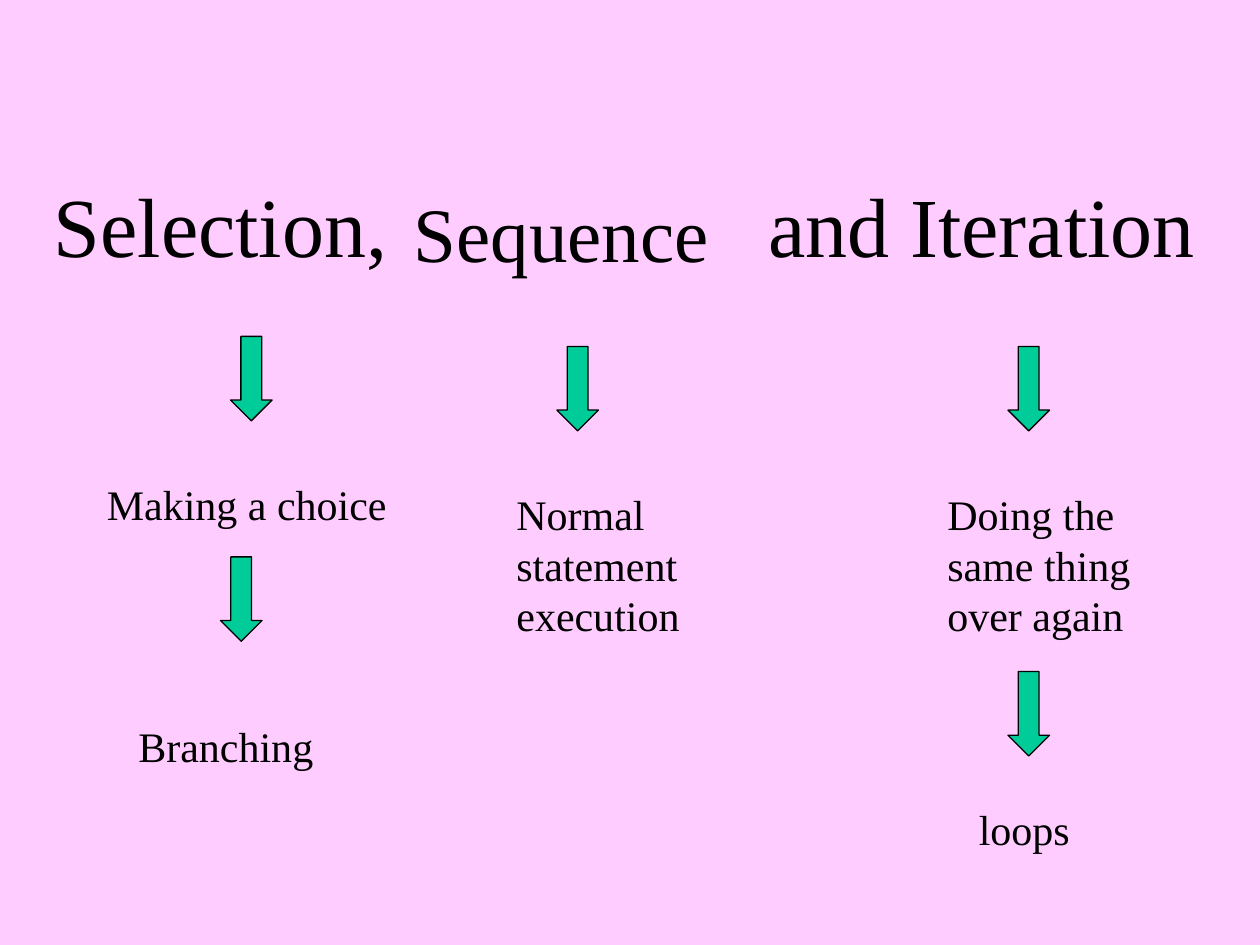
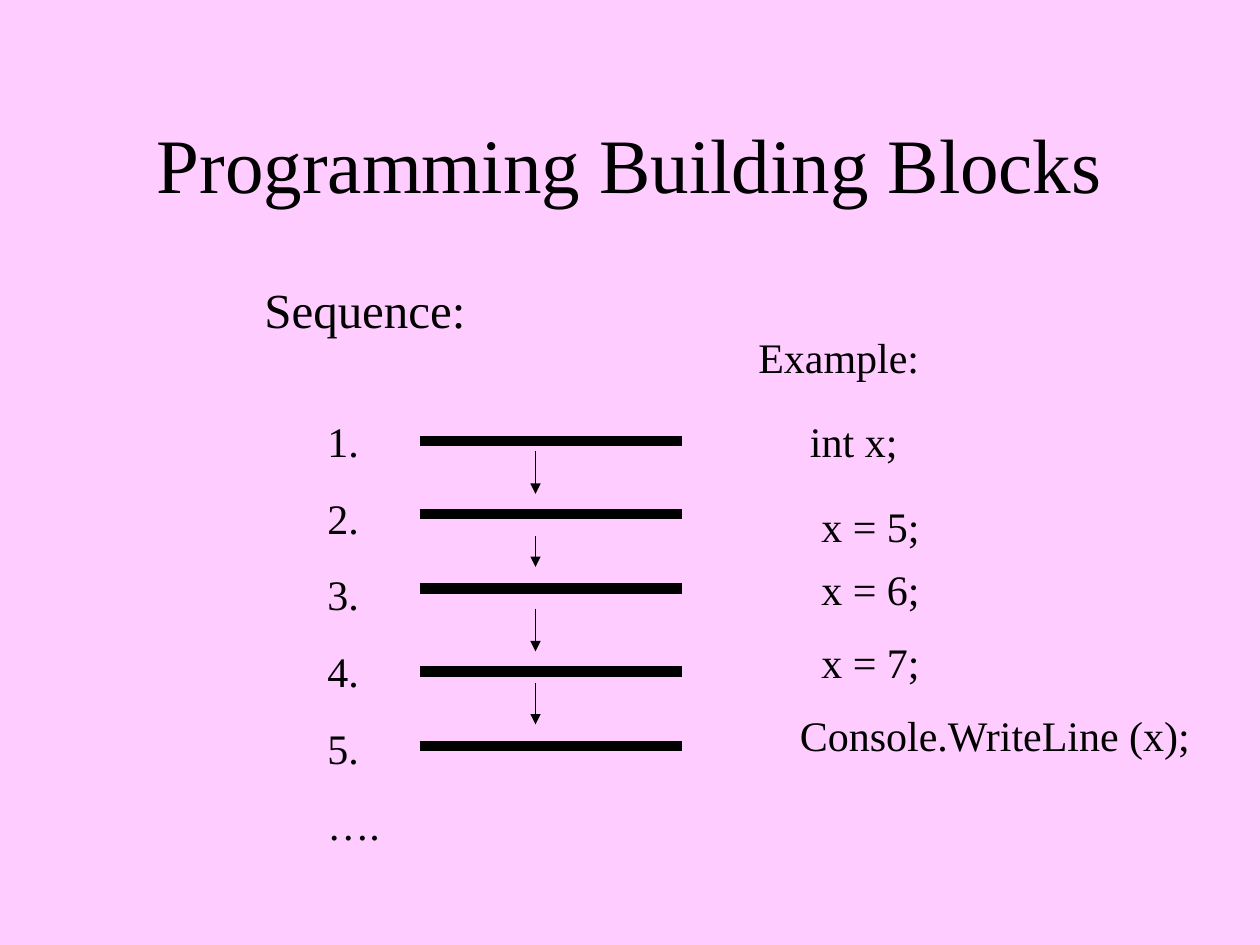
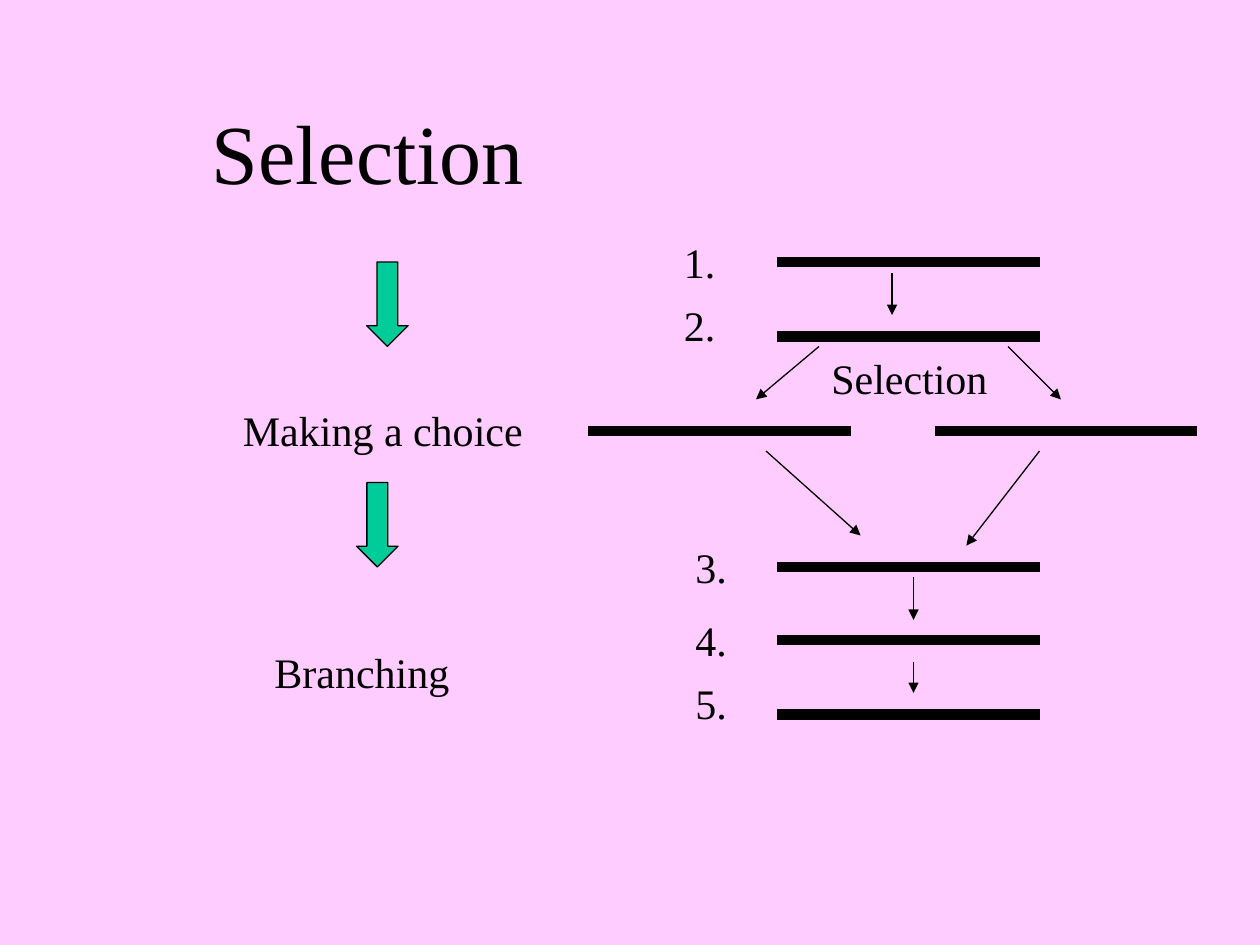
import pptx
import pptx.dml.color
import pptx.enum.shapes
import pptx.enum.text
import pptx.oxml
import pptx.util
from pptx.util import Inches

FONT = "Times New Roman"
BACKGROUND, INK, ARROW_GREEN = "FFCCFF", "000000", "00CC99"
TITLE_ONLY = 5
BAR_LENGTH = 2.08
LINE_PITCH = 1.2
PARA_GAP = 15


def colour(hex_string):
    return pptx.dml.color.RGBColor.from_string(hex_string)


def apply_format(target, values):
    for name, value in values.items():
        setattr(target, name, value)


class Deck:
    def __init__(self):
        self.deck = pptx.Presentation()
        self.deck.slide_width, self.deck.slide_height = Inches(10), Inches(7.5)
        fill = self.deck.slide_master.background.fill
        fill.solid()
        fill.fore_color.rgb = colour(BACKGROUND)
        self.page = None

    def new_page(self):
        self.page = self.deck.slides.add_slide(self.deck.slide_layouts[TITLE_ONLY])

    def fill_text(self, box, lines, size, align, **frame_format):
        """Fill a box with one paragraph for each line."""
        frame = box.text_frame
        apply_format(frame, {"word_wrap": True, **frame_format})
        for index, line in enumerate(lines):
            para = frame.paragraphs[0] if index == 0 else frame.add_paragraph()
            para.alignment = align
            if index:
                para.space_before = pptx.util.Pt(PARA_GAP)
            span = para.add_run()
            span.text = line
            apply_format(span.font, {"name": FONT, "size": pptx.util.Pt(size)})
            span.font.color.rgb = colour(INK)

    def title(self, text, left, top, width, height, size=44, centred=True):
        box = self.page.shapes.title
        apply_format(box, {"left": Inches(left), "top": Inches(top),
                           "width": Inches(width), "height": Inches(height)})
        align, anchor = pptx.enum.text.PP_ALIGN, pptx.enum.text.MSO_ANCHOR
        self.fill_text(box, [text], size, align.CENTER if centred else align.LEFT,
                       vertical_anchor=anchor.MIDDLE if centred else anchor.TOP,
                       auto_size=pptx.enum.text.MSO_AUTO_SIZE.NONE)

    def label(self, text, left, top, width, size=24, rows=1):
        """Add a text box; a list of lines becomes paragraphs."""
        lines = [text] if isinstance(text, str) else text
        rows = max(rows, len(lines))
        points = rows * size * LINE_PITCH + (len(lines) - 1) * PARA_GAP
        box = self.page.shapes.add_textbox(
            Inches(left), Inches(top), Inches(width), Inches(0.1 + points / 72))
        self.fill_text(box, lines, size, pptx.enum.text.PP_ALIGN.LEFT,
                       auto_size=pptx.enum.text.MSO_AUTO_SIZE.SHAPE_TO_FIT_TEXT)

    def block_arrow(self, left, top):
        arrow = self.page.shapes.add_shape(
            pptx.enum.shapes.MSO_SHAPE.DOWN_ARROW,
            Inches(left), Inches(top), Inches(0.33), Inches(0.67))
        arrow.shadow.inherit = False
        arrow.fill.solid()
        arrow.fill.fore_color.rgb = colour(ARROW_GREEN)
        arrow.line.color.rgb = colour(INK)
        arrow.line.width = pptx.util.Pt(0.75)

    def line(self, x1, y1, x2, y2, width):
        connector = self.page.shapes.add_connector(
            pptx.enum.shapes.MSO_CONNECTOR.STRAIGHT,
            Inches(x1), Inches(y1), Inches(x2), Inches(y2))
        connector.line.color.rgb = colour(INK)
        connector.line.width = pptx.util.Pt(width)
        properties = connector._element.spPr
        properties.append(pptx.oxml.parse_xml(
            '<a:effectLst xmlns:a="http://schemas.openxmlformats.org/drawingml/2006/main"/>'))
        return connector

    def bar(self, left, y):
        """Draw the thick line that stands for one statement."""
        self.line(left, y, left + BAR_LENGTH, y, 6)

    def flow_arrow(self, x1, y1, x2, y2):
        connector = self.line(x1, y1, x2, y2, 0.75)
        connector.line._get_or_add_ln().append(pptx.oxml.parse_xml(
            '<a:tailEnd xmlns:a="http://schemas.openxmlformats.org/drawingml/2006/main"'
            ' type="triangle"/>'))

    def selection_steps(self, left, top):
        """Draw the column from choice to branching below a heading."""
        self.block_arrow(left + 1.08, top)
        self.label("Making a choice", left, top + 1.08, 2.5)
        self.block_arrow(left + 1, top + 1.75)
        self.label("Branching", left + 0.25, top + 3, 1.67)


def build_overview(deck):
    deck.new_page()
    deck.title("Sequence", 3.08, 1.25, 2.75, 1.17)
    deck.label("Selection,", 0.33, 1.33, 3, size=48)
    deck.label("and Iteration", 6, 1.33, 4, size=48)
    deck.selection_steps(0.75, 2.67)
    for left, top in ((4.42, 2.75), (8, 2.75), (8, 5.33)):
        deck.block_arrow(left, top)
    deck.label("Normal statement execution", 4, 3.83, 1.75, rows=3)
    deck.label("Doing the same thing over again", 7.42, 3.83, 1.75, rows=3)
    deck.label("loops", 7.67, 6.33, 1.08)


def build_sequence(deck):
    deck.new_page()
    deck.title("Programming Building Blocks", 0.75, 0.67, 8.5, 1.25)
    deck.label("Sequence:", 2, 2.17, 3.92, size=28)
    deck.label(["1.", "2.", "3.", "4.", "5.", "…."], 2.5, 3.25, 0.92)
    for y in (3.5, 4.08, 4.67, 5.33, 5.92):
        deck.bar(3.33, y)
    for start, end in ((3.58, 3.92), (4.25, 4.5), (4.83, 5.17), (5.42, 5.75)):
        deck.flow_arrow(4.25, start, 4.25, end)
    deck.label("Example:", 5.92, 2.58, 1.9)
    deck.label("int x;", 6.33, 3.25, 2.99)
    for text, top in (("x = 5;", 3.92), ("x = 6;", 4.42), ("x = 7;", 5)):
        deck.label(text, 6.42, top, 1.9)
    deck.label("Console.WriteLine (x);", 6.25, 5.58, 3.5)


def build_selection(deck):
    deck.new_page()
    deck.title("Selection", 1.58, 0.75, 3, 0.9, size=48, centred=False)
    deck.selection_steps(1.83, 2.08)
    for y in (2.08, 2.67, 4.5, 5.08, 5.67):
        deck.bar(6.17, y)
    for branch_left in (4.67, 7.42):
        deck.bar(branch_left, 3.42)
    for number, left, top in (("1.", 5.33, 1.83), ("2.", 5.33, 2.33), ("3.", 5.42, 4.25),
                              ("4.", 5.42, 4.83), ("5.", 5.42, 5.33)):
        deck.label(number, left, top, 0.6)
    deck.label("Selection", 6.5, 2.75, 2.17)
    for ends in ((7.08, 2.17, 7.08, 2.5), (6.5, 2.75, 6, 3.17), (8, 2.75, 8.42, 3.17),
                 (8.25, 3.58, 7.67, 4.33), (6.08, 3.58, 6.83, 4.25),
                 (7.25, 4.58, 7.25, 4.92), (7.25, 5.25, 7.25, 5.5)):
        deck.flow_arrow(*ends)


def main():
    deck = Deck()
    build_overview(deck)
    build_sequence(deck)
    build_selection(deck)
    deck.deck.save("out.pptx")


if __name__ == "__main__":
    main()
